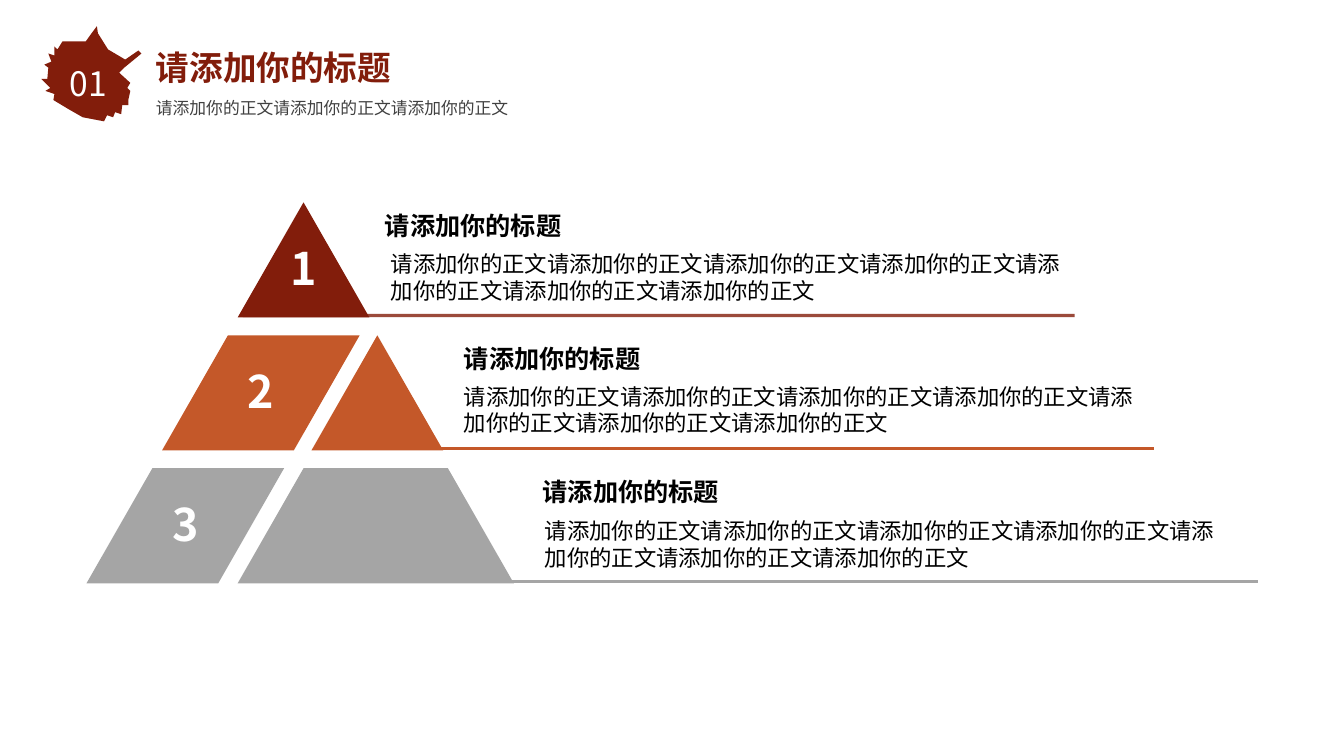
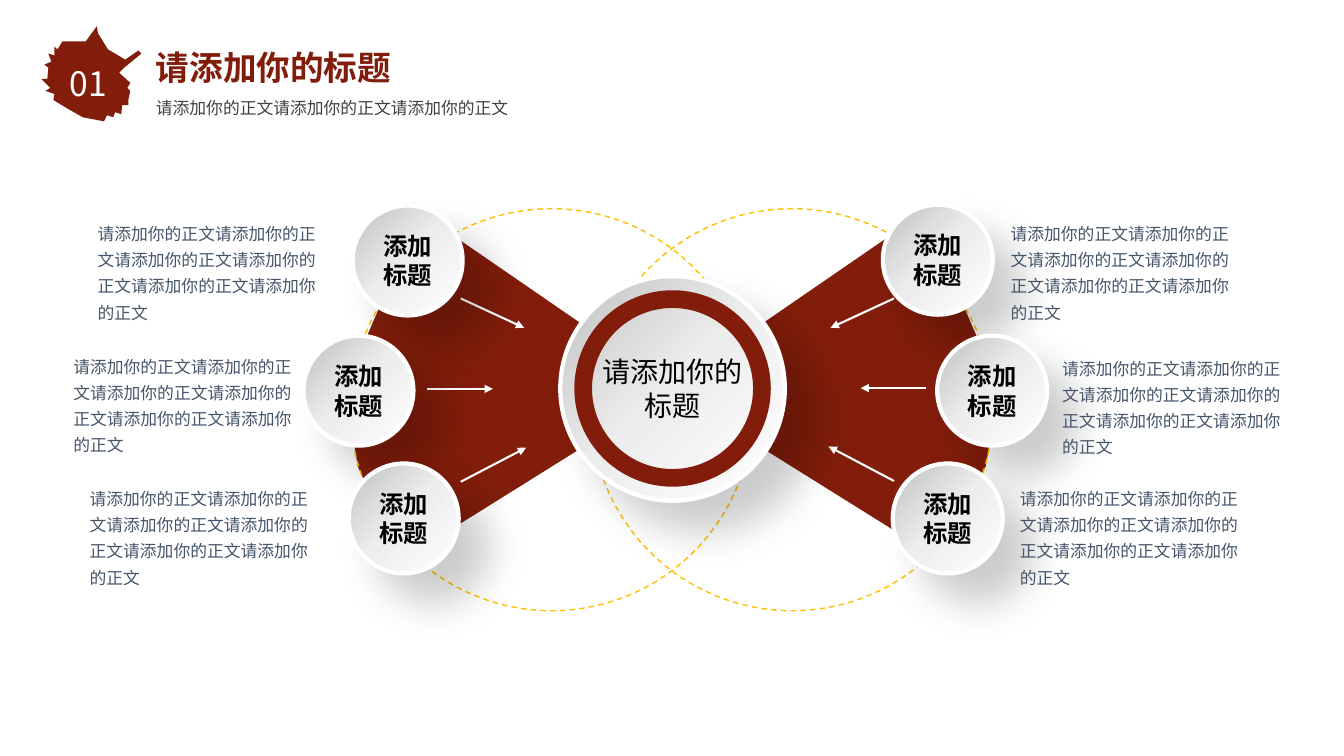
from pptx import Presentation, util as u
from pptx.dml.color import RGBColor
from pptx.enum import dml, shapes, text
from pptx.oxml.ns import qn
from lxml import etree
from copy import deepcopy

Cm, Pt = u.Cm, u.Pt
FONT = "Noto Sans CJK SC"
MAROON = RGBColor(0x82, 0x1D, 0x0B)
RUST = RGBColor(0xC4, 0x58, 0x29)
GREY = RGBColor(0xA5, 0xA5, 0xA5)
GOLD = RGBColor(0xFF, 0xC0, 0x00)
SLATE = RGBColor(0x44, 0x54, 0x6A)
CHARCOAL = RGBColor(0x40, 0x40, 0x40)
SILVER = RGBColor(0xC0, 0xC0, 0xC0)
PALE = RGBColor(0xED, 0xED, 0xED)
WHITE = RGBColor(0xFF, 0xFF, 0xFF)
BLACK = RGBColor(0, 0, 0)

TITLE = "请添加你的标题"
BODY = "请添加你的正文"

# Leaf outline in a 99 by 95 grid
LEAF = [(99, 27), (82, 41), (77, 46), (88, 56), (85, 61), (88, 64), (86, 73),
        (86, 78), (80, 78), (79, 87), (73, 85), (71, 90), (65, 88), (62, 94),
        (41, 90), (27, 82), (12, 73), (13, 67), (4, 64), (9, 61), (0, 52),
        (6, 52), (7, 41), (3, 38), (10, 35), (7, 27), (13, 29), (13, 20),
        (16, 23), (21, 15), (44, 15), (49, 8), (55, 0), (56, 7), (66, 23),
        (83, 33), (96, 24)]

# Left wedge, measured from the slide's centre line and the ring's top
WEDGE = [(-7.38, 2.51), (-6.62, 1.5), (-5.53, 0.66), (0.11, 4.54),
         (-6.57, 8.71), (-7.48, 7.44), (-7.91, 6.5), (-8.04, 5.74),
         (-8.09, 5), (-7.9, 3.72)]


def apply(target, values):
    for key, value in values.items():
        setattr(target, key, value)


def add_xml(parent, tag, **attributes):
    child = etree.SubElement(parent, qn(tag))
    for key, value in attributes.items():
        child.set(key, str(value))
    return child


def write(shape, lines, size, color, bold=False, align=None, spacing=None,
          **frame_values):
    frame = shape.text_frame
    apply(frame, {"word_wrap": True, **frame_values})
    for index, words in enumerate(lines):
        para = frame.add_paragraph() if index else frame.paragraphs[0]
        apply(para, {"alignment": align, "line_spacing": spacing})
        run = para.add_run()
        run.text = words
        apply(run.font, {"size": Pt(size), "bold": bold, "name": FONT})
        run.font.color.rgb = color
        add_xml(run.font._element, "a:ea", typeface=FONT)


def add_text(slide, box, words, size, color, **values):
    holder = slide.shapes.add_textbox(*map(Cm, box))
    write(holder, [words], size, color,
          **{"auto_size": text.MSO_AUTO_SIZE.SHAPE_TO_FIT_TEXT, **values})


def paint(shape, fill=None, line=None, width=1):
    shape.shadow.inherit = False
    if fill is None:
        shape.fill.background()
    else:
        shape.fill.solid()
        shape.fill.fore_color.rgb = fill
    if line is None:
        shape.line.fill.background()
    else:
        shape.line.color.rgb = line
        shape.line.width = Pt(width)
    return shape


def add_outline(slide, left, top, points, fill, unit=1):
    corners = [(Cm(left + x * unit), Cm(top + y * unit)) for x, y in points]
    builder = slide.shapes.build_freeform(*corners[0], scale=1.0)
    builder.add_line_segments(corners[1:], close=True)
    return paint(builder.convert_to_shape(), fill)


def add_line(slide, start, end, color, width, arrow=False, alpha=None):
    line = slide.shapes.add_connector(
        shapes.MSO_CONNECTOR.STRAIGHT, *map(Cm, (*start, *end)))
    line.line.color.rgb = color
    line.line.width = Pt(width)
    properties = line._element.spPr
    add_xml(properties, "a:effectLst")
    if alpha:
        add_xml(next(properties.iter(qn("a:srgbClr"))), "a:alpha",
                val=alpha * 1000)
    if arrow:
        add_xml(properties.find(qn("a:ln")), "a:tailEnd", type="triangle")


def add_circle(slide, left, top, size, kind=shapes.MSO_SHAPE.OVAL, **values):
    box = map(Cm, (left, top, size, size))
    return paint(slide.shapes.add_shape(kind, *box), **values)


def add_button(slide, left, top, size, lines, font_size, bold):
    """Silver disc with a white rim and a soft shadow."""
    disc = add_circle(slide, left, top, size, line=WHITE, width=3)
    disc.fill.gradient()
    disc.fill.gradient_angle = 315
    properties = disc._element.spPr
    first = next(properties.iter(qn("a:gs")))
    first.addnext(deepcopy(first))
    stops = zip(disc.fill.gradient_stops,
                ((0, SILVER), (0.49, PALE), (1, WHITE)))
    for stop, (position, color) in stops:
        stop.position = position
        stop.color.rgb = color
    shadow = add_xml(properties.find(qn("a:effectLst")), "a:outerShdw",
                     blurRad=Pt(29), dist=Pt(29), dir=45 * 60000,
                     algn="tl", rotWithShape=0)
    add_xml(add_xml(shadow, "a:srgbClr", val="000000"), "a:alpha", val=20000)
    write(disc, lines, font_size, BLACK, bold=bold,
          align=text.PP_ALIGN.CENTER, margin_left=0, margin_right=0,
          vertical_anchor=text.MSO_ANCHOR.MIDDLE)


def header(slide, left, top):
    add_outline(slide, left, top, LEAF, MAROON, unit=0.03 * 0.85)
    add_text(slide, (left + 2.64, top + 0.41, 6.65, 1.27), TITLE, 24, MAROON,
             bold=True, word_wrap=False)
    add_text(slide, (left + 2.64, top + 1.52, 9.6, 0.86), BODY * 3, 12,
             CHARCOAL, spacing=1.3)
    add_text(slide, (left + 0.46, top + 0.81, 1.45, 1.27), "01", 24, WHITE,
             word_wrap=False)


def pyramid(slide, left, top):
    """Three tiers, each with a number, a heading, body text and a rule."""
    height, pitch, slant, base = 2.9, 3.35, 1.66, 3.32
    # colour, top width of the numbered part, (left, top width) of the
    # second part, body text offset, end of the rule
    tiers = [(MAROON, 0, None, (0.15, 1), 24.9),
             (RUST, base, (5.67, 0), (0, 1), 26.9),
             (GREY, base, (3.81, 3.64), (0.05, 1.03), 29.52)]

    def part(x, y, flat, color):
        width = 2 * slant + flat
        if flat == base:
            width = base
        return add_outline(slide, left + x, y, [
            (0, height), (slant, 0), (slant + flat, 0), (width, height)],
            color)

    for index, (color, flat, second, shift, rule_end) in enumerate(tiers):
        y = top + index * pitch
        x = 3.81 - 1.905 * index
        numbered = part(x, y, flat, color)
        write(numbered, [str(index + 1)], 32, WHITE, bold=True,
              align=text.PP_ALIGN.CENTER, margin_top=Cm(0 if index else 0.5),
              vertical_anchor=text.MSO_ANCHOR.MIDDLE)
        if second:
            part(second[0], y, second[1], color)
            x = second[0]
        text_left = left + 7.27 + 1.99 * index
        add_text(slide, (text_left, y + 0.08, 5.45, 1.02), TITLE, 18, BLACK,
                 bold=True)
        add_text(slide, (text_left + shift[0], y + 0.07 + shift[1],
                         17.5, 1.63), BODY * 7, 16, BLACK)
        rule = y + height - 0.05
        add_line(slide, (left + x + 0.13, rule), (left + rule_end, rule),
                 color, 2.25, alpha=None if index else 80)


def wing(slide, center, top, side, nodes, arrows, notes):
    """One half of the bow tie; side is -1 for left and 1 for right."""
    add_outline(slide, center, top, [(-side * x, y) for x, y in WEDGE], MAROON)
    size = 10.13
    ring = add_circle(slide, center + side * 3.03 - size / 2, top, size,
                      line=GOLD)
    ring.line.dash_style = dml.MSO_LINE.DASH
    for x1, y1, x2, y2 in arrows:
        add_line(slide, (center + x1, top + y1), (center + x2, top + y2),
                 WHITE, 1.5, arrow=True)
    for x, y in nodes:
        add_button(slide, center + x, top + y, 2.77, ["添加", "标题"], 17.4,
                   True)
    for x, y in notes:
        add_text(slide, (center + x, top + y, 6.2, 2.87), BODY * 6, 12, SLATE,
                 spacing=1.3)


def hub(slide, center, middle):
    size, band = 5.66, 4.95
    add_button(slide, center - size / 2, middle - size / 2, size, [TITLE], 20,
               False)
    donut = add_circle(slide, center - band / 2, middle - band / 2, band,
                       kind=shapes.MSO_SHAPE.DONUT, fill=MAROON)
    donut.adjustments[0] = 0.09


def bow_tie(slide, center, top):
    wing(slide, center, top, -1,
         nodes=[(-8.04, -0.08), (-9.28, 3.2), (-8.14, 6.42)],
         arrows=[(-5.32, 2.26, -3.72, 3), (-6.16, 4.54, -4.51, 4.54),
                 (-5.32, 6.88, -3.67, 6.02)],
         notes=[(-14.72, 0.1), (-15.33, 3.45), (-14.92, 6.78)])
    wing(slide, center, top, 1,
         nodes=[(5.32, -0.1), (6.69, 3.2), (5.57, 6.42)],
         arrows=[(5.6, 2.26, 4, 3), (6.41, 4.52, 4.76, 4.52),
                 (5.6, 6.86, 3.95, 5.99)],
         notes=[(8.29, 0.1), (9.59, 3.5), (8.52, 6.78)])
    hub(slide, center + 0.02, top + 4.53)


def main():
    deck = Presentation()
    apply(deck, {"slide_width": Cm(33.87), "slide_height": Cm(19.05)})
    for content, left, top in ((pyramid, 2.18, 5.1), (bow_tie, 16.93, 5.26)):
        slide = deck.slides.add_slide(deck.slide_layouts[6])
        header(slide, 1.04, 0.66)
        content(slide, left, top)
    deck.save("out.pptx")


if __name__ == "__main__":
    main()
